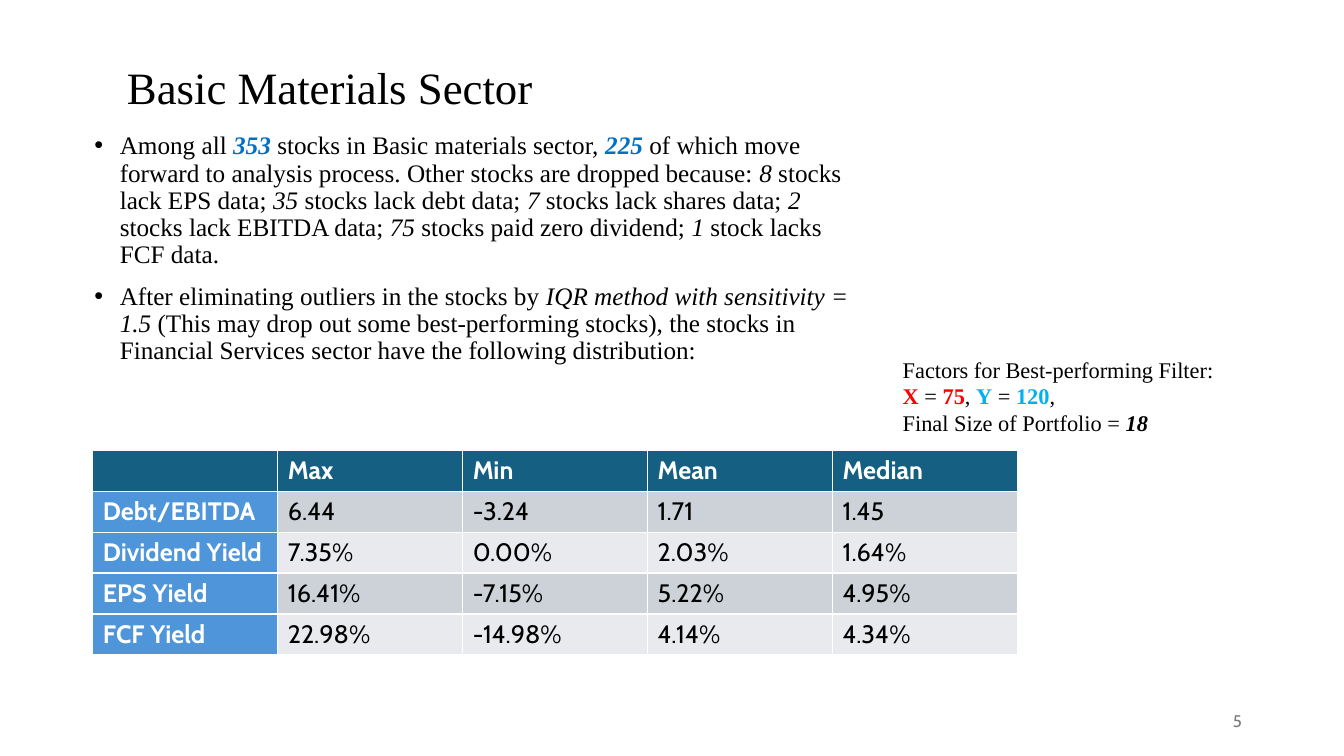
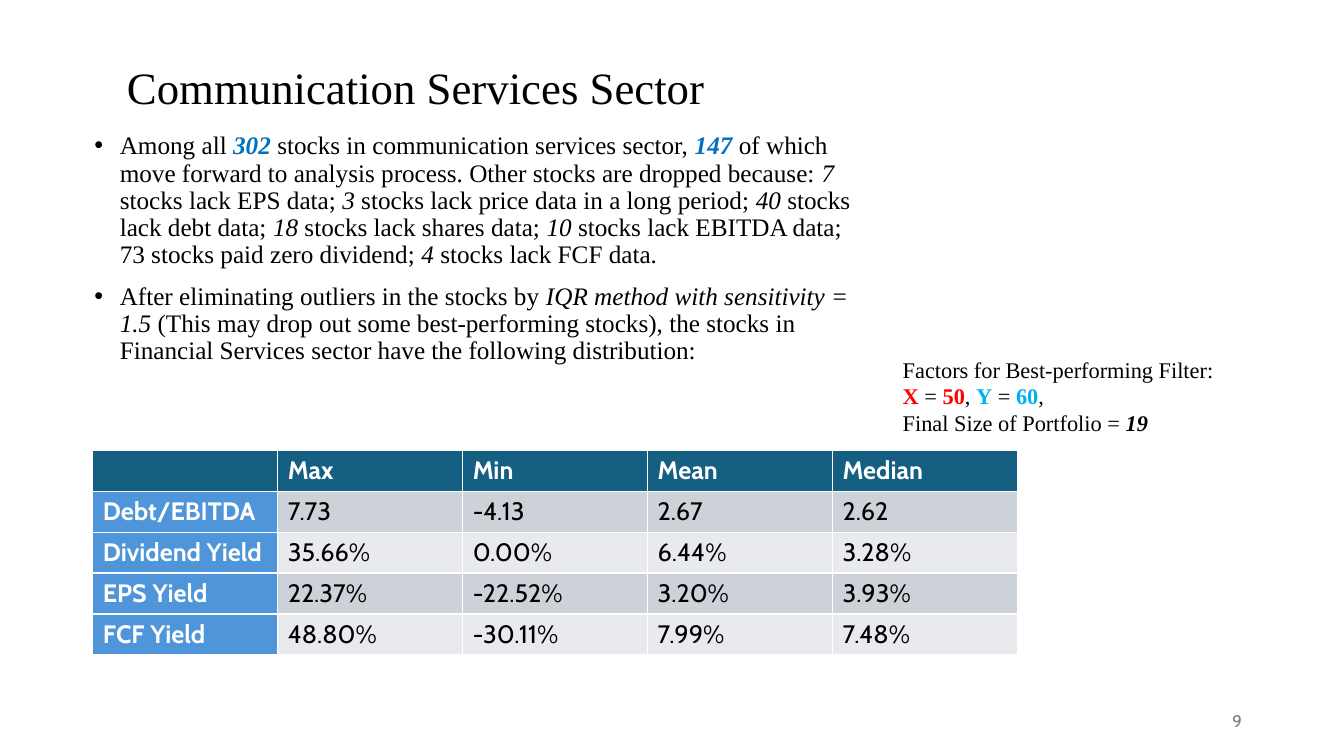
"""Build two sector slides with a bullet summary, filter factors and a distribution table."""
from lxml import etree
from pptx import Presentation
from pptx import util as u
from pptx.dml import color
from pptx.enum import text
from pptx.oxml import ns

SERIF, SANS = "Times New Roman", "Cabin"
BLACK, WHITE, GREY = "000000", "FFFFFF", "797979"
HEADER, LABEL, BANDS = "156082", "4E95D9", ("CCD2D8", "E8EAED")
STYLES = {
    "plain": (BLACK, False, False),
    "italic": (BLACK, False, True),
    "strong": (BLACK, True, True),
    "count": ("0070C0", True, True),
    "x": ("FF0000", True, False),
    "y": ("00B0F0", True, False),
    "page": (GREY, False, False),
    "heading": (WHITE, True, False),
}
COLUMNS = ("Max", "Min", "Mean", "Median")
METHOD = [
    ("After eliminating outliers in the stocks by ", "plain"),
    ("IQR method with sensitivity = 1.5 ", "italic"),
    ("(This may drop out some best-performing stocks), the stocks in "
     "Financial Services sector have the following distribution:", "plain"),
]
SECTORS = [
    {
        "title": "Basic Materials Sector", "title_width": 12.45, "name": "Basic materials",
        "total": "353", "kept": "225", "x": "75", "y": "120", "size": "18", "page": "5",
        "dropped": [
            ("8", " stocks lack EPS data; "),
            ("35", " stocks lack debt data; "),
            ("7", " stocks lack shares data; "),
            ("2", " stocks lack EBITDA data; "),
            ("75", " stocks paid zero dividend; "),
            ("1", " stock lacks FCF data."),
        ],
        "rows": [
            ("Debt/EBITDA", "6.44", "-3.24", "1.71", "1.45"),
            ("Dividend Yield", "7.35%", "0.00%", "2.03%", "1.64%"),
            ("EPS Yield", "16.41%", "-7.15%", "5.22%", "4.95%"),
            ("FCF Yield", "22.98%", "-14.98%", "4.14%", "4.34%"),
        ],
    },
    {
        "title": "Communication Services Sector", "title_width": 15.75, "name": "communication services",
        "total": "302", "kept": "147", "x": "50", "y": "60", "size": "19", "page": "9",
        "dropped": [
            ("7", " stocks lack EPS data; "),
            ("3", " stocks lack price data in a long period; "),
            ("40", " stocks lack debt data; "),
            ("18", " stocks lack shares data; "),
            ("10", " stocks lack EBITDA data; 73 stocks paid zero dividend; "),
            ("4", " stocks lack FCF data."),
        ],
        "rows": [
            ("Debt/EBITDA", "7.73", "-4.13", "2.67", "2.62"),
            ("Dividend Yield", "35.66%", "0.00%", "6.44%", "3.28%"),
            ("EPS Yield", "22.37%", "-22.52%", "3.20%", "3.93%"),
            ("FCF Yield", "48.80%", "-30.11%", "7.99%", "7.48%"),
        ],
    },
]


def rgb(value):
    return color.RGBColor.from_string(value)


def write(frame, paragraphs, size, font=SERIF):
    for number, spans in enumerate(paragraphs):
        para = frame.add_paragraph() if number else frame.paragraphs[0]
        for words, style in spans:
            span = para.add_run()
            span.text = words
            span.font.name, span.font.size = font, u.Pt(size)
            shade, span.font.bold, span.font.italic = STYLES[style]
            span.font.color.rgb = rgb(shade)
    return frame.paragraphs


deck = Presentation()
deck.slide_width, deck.slide_height = u.Cm(33.87), u.Cm(19.05)

for sector in SECTORS:
    page = deck.slides.add_slide(deck.slide_layouts[6])
    places = [
        (2.95, 0.38, sector["title_width"], 3.76, text.MSO_ANCHOR.MIDDLE),
        (2.13, 3.23, 19.63, 7.49, text.MSO_ANCHOR.TOP),
        (23.93, 17.65, 7.62, 1.02, text.MSO_ANCHOR.MIDDLE),
        (22.5, 8.84, 9.04, 2.31, text.MSO_ANCHOR.TOP),
    ]
    frames = []
    for *lengths, anchor in places:
        box = page.shapes.add_textbox(*[u.Cm(length) for length in lengths])
        box.text_frame.word_wrap = True
        box.text_frame.vertical_anchor = anchor
        frames.append(box.text_frame)
    title, body, footer, factors = frames

    write(title, [[(sector["title"], "plain")]], 32)[0].line_spacing = 0.9

    summary = [
        ("Among all ", "plain"),
        (sector["total"], "count"),
        (f" stocks in {sector['name']} sector, ", "plain"),
        (sector["kept"], "count"),
        (" of which move forward to analysis process. Other stocks are dropped because: ", "plain"),
    ]
    for count, reason in sector["dropped"]:
        summary += [(count, "italic"), (reason, "plain")]
    bullets = write(body, [summary, METHOD], 18)
    for para in bullets:
        para.line_spacing = 0.9
        properties = para._p.get_or_add_pPr()
        properties.set("marL", str(u.Cm(0.64)))
        properties.set("indent", str(u.Cm(-0.64)))
        etree.SubElement(properties, ns.qn("a:buFont"), typeface="Arial")
        etree.SubElement(properties, ns.qn("a:buChar"), char="•")
    bullets[1].space_before = u.Pt(10)

    write(footer, [[(sector["page"], "page")]], 12, SANS)[0].alignment = text.PP_ALIGN.RIGHT

    write(factors, [
        [("Factors for Best-performing Filter:", "plain")],
        [("X", "x"), (" = ", "plain"), (sector["x"], "x"), (", ", "plain"),
         ("Y", "y"), (" = ", "plain"), (sector["y"], "y"), (",", "plain")],
        [("Final Size of Portfolio = ", "plain"), (sector["size"], "strong")],
    ], 16)

    rows = [("", *COLUMNS), *sector["rows"]]
    table = page.shapes.add_table(
        len(rows), len(rows[0]), u.Cm(2.34), u.Cm(11.35), u.Cm(23.3), u.Cm(5.15)).table
    table.first_col = True
    for r, row in enumerate(rows):
        for c, words in enumerate(row):
            cell = table.cell(r, c)
            cell.fill.solid()
            cell.fill.fore_color.rgb = rgb(HEADER if r == 0 else LABEL if c == 0 else BANDS[(r - 1) % 2])
            if words:
                write(cell.text_frame, [[(words, "plain" if r and c else "heading")]], 18, SANS)

deck.save("out.pptx")
